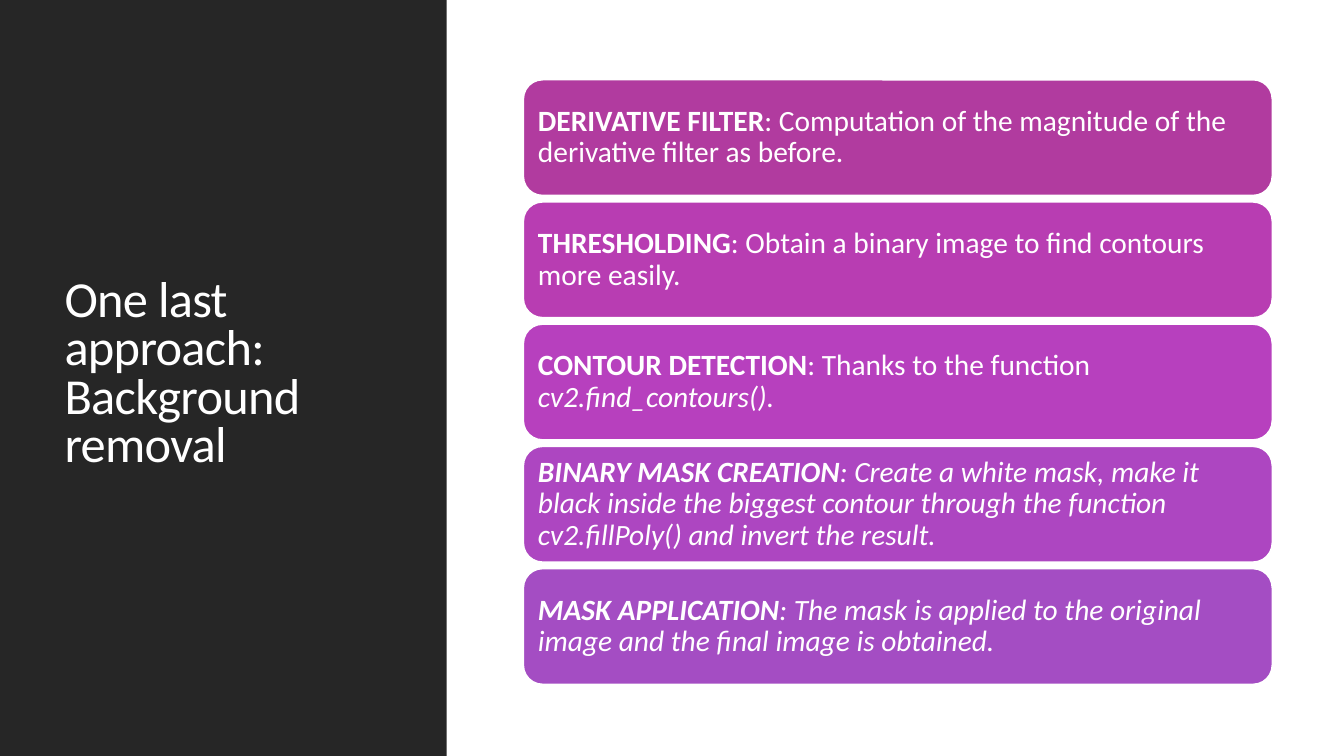
import pptx
import pptx.dml.color
import pptx.enum.shapes
import pptx.enum.text
import pptx.util

PX = 9144  # 100 px to the inch
FONT = "Calibri"
WHITE = "FFFFFF"
DARK = "262626"

# fill, heading, body, heading is italic, body is italic, italic ending
STEPS = [
    ("B13B9F", "DERIVATIVE FILTER",
     ": Computation of the magnitude of the derivative filter as before.", False, ""),
    ("B83DB2", "THRESHOLDING",
     ": Obtain a binary image to find contours more easily.", False, ""),
    ("B740BE", "CONTOUR DETECTION",
     ": Thanks to the function ", False, "cv2.find_contours()."),
    ("AD46C1", "BINARY MASK CREATION",
     ": Create a white mask, make it black inside the biggest contour through "
     "the function cv2.fillPoly() and invert the result.", True, ""),
    ("A44DC3", "MASK APPLICATION",
     ": The mask is applied to the original image and the final image is obtained.",
     True, ""),
]
STEP_LEFT, STEP_TOP, STEP_WIDTH, STEP_HEIGHT = 519, 79, 743, 115
STEP_PITCH = 121.25
STEP_INSET = 9


def px(length):
    return pptx.util.Emu(round(length * PX))


def color(value):
    return pptx.dml.color.RGBColor.from_string(value)


def add_span(para, text, size, bold=False, italic=False):
    span = para.add_run()
    span.text = text
    span.font.name = FONT
    span.font.size = pptx.util.Pt(size)
    span.font.bold = bold
    span.font.italic = italic
    span.font.color.rgb = color(WHITE)
    return span


def add_block(page, kind, left, top, width, height, fill):
    """Add a filled shape without outline or shadow."""
    block = page.shapes.add_shape(kind, px(left), px(top), px(width), px(height))
    block.shadow.inherit = False
    block.fill.solid()
    block.fill.fore_color.rgb = color(fill)
    block.line.fill.background()
    return block


def format_frame(box, line_spacing):
    """Wrap and centre the text vertically; return its left-aligned paragraph."""
    frame = box.text_frame
    frame.word_wrap = True
    frame.auto_size = pptx.enum.text.MSO_AUTO_SIZE.NONE
    frame.vertical_anchor = pptx.enum.text.MSO_ANCHOR.MIDDLE
    para = frame.paragraphs[0]
    para.alignment = pptx.enum.text.PP_ALIGN.LEFT
    para.line_spacing = line_spacing
    return para


def set_title(page, text):
    title = page.shapes.title
    title.left, title.top, title.width, title.height = map(px, (54, 57, 337, 631))
    span = add_span(format_frame(title, 0.8), text, 36)
    span.font._element.set("spc", "-50")


def add_step(page, top, fill, heading, body, italic, ending):
    box = add_block(page, pptx.enum.shapes.MSO_SHAPE.ROUNDED_RECTANGLE,
                    STEP_LEFT, top, STEP_WIDTH, STEP_HEIGHT, fill)
    box.line.color.rgb = color(WHITE)
    box.line.width = pptx.util.Pt(1.25)
    frame = box.text_frame
    frame.margin_left = frame.margin_right = px(STEP_INSET)
    frame.margin_top = frame.margin_bottom = px(STEP_INSET)
    para = format_frame(box, 0.9)
    add_span(para, heading, 21, bold=True, italic=italic)
    add_span(para, body, 21, italic=italic)
    if ending:
        add_span(para, ending, 21, italic=True)


def main():
    deck = pptx.Presentation()
    deck.slide_width, deck.slide_height = px(1333), px(750)
    page = deck.slides.add_slide(deck.slide_layouts[5])
    panel = add_block(page, pptx.enum.shapes.MSO_SHAPE.RECTANGLE, 0, 0, 443, 750, DARK)
    page.shapes.title._element.addprevious(panel._element)
    set_title(page, "One last approach: Background removal")
    for index, step in enumerate(STEPS):
        add_step(page, STEP_TOP + index * STEP_PITCH, *step)
    deck.save("out.pptx")


if __name__ == "__main__":
    main()
